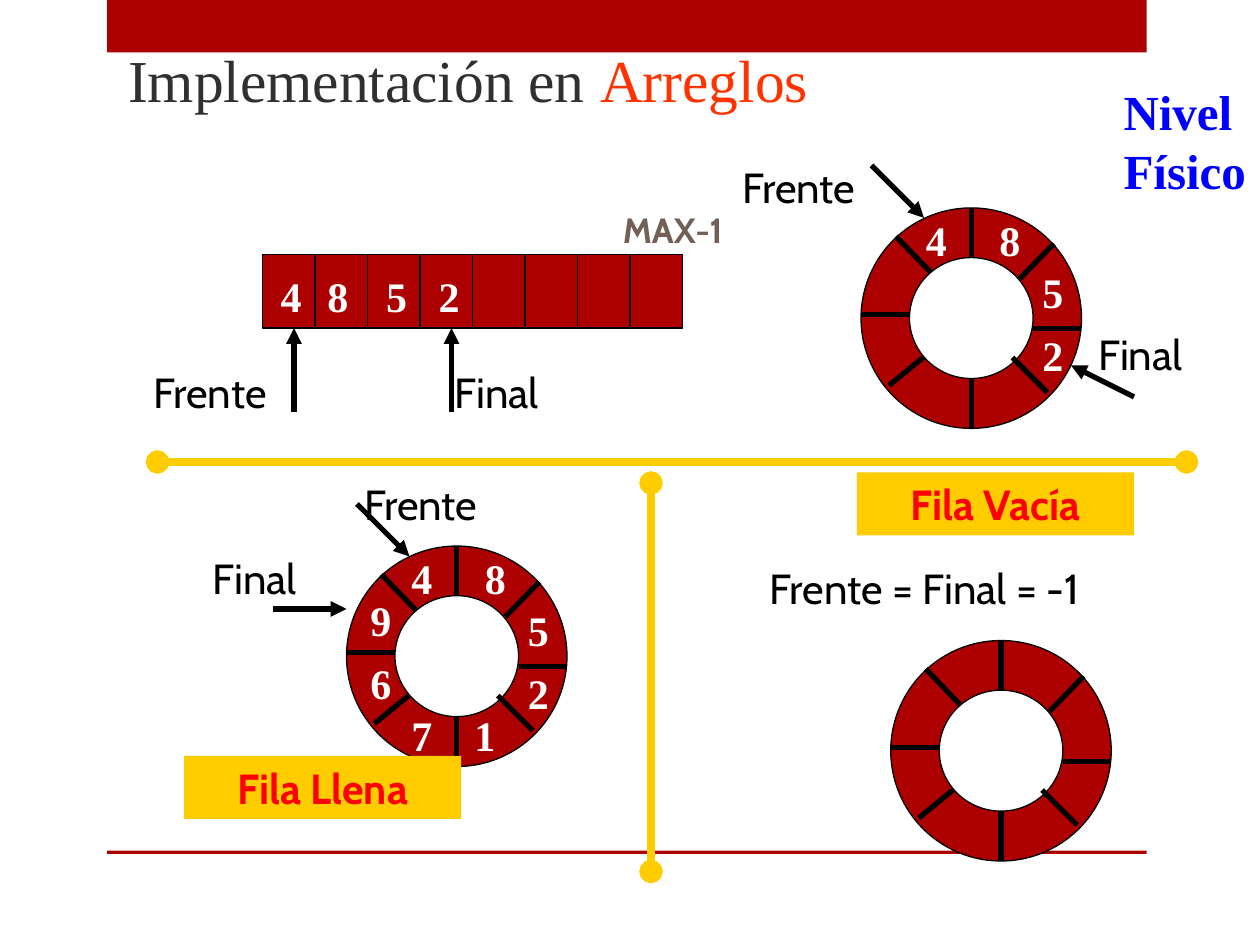
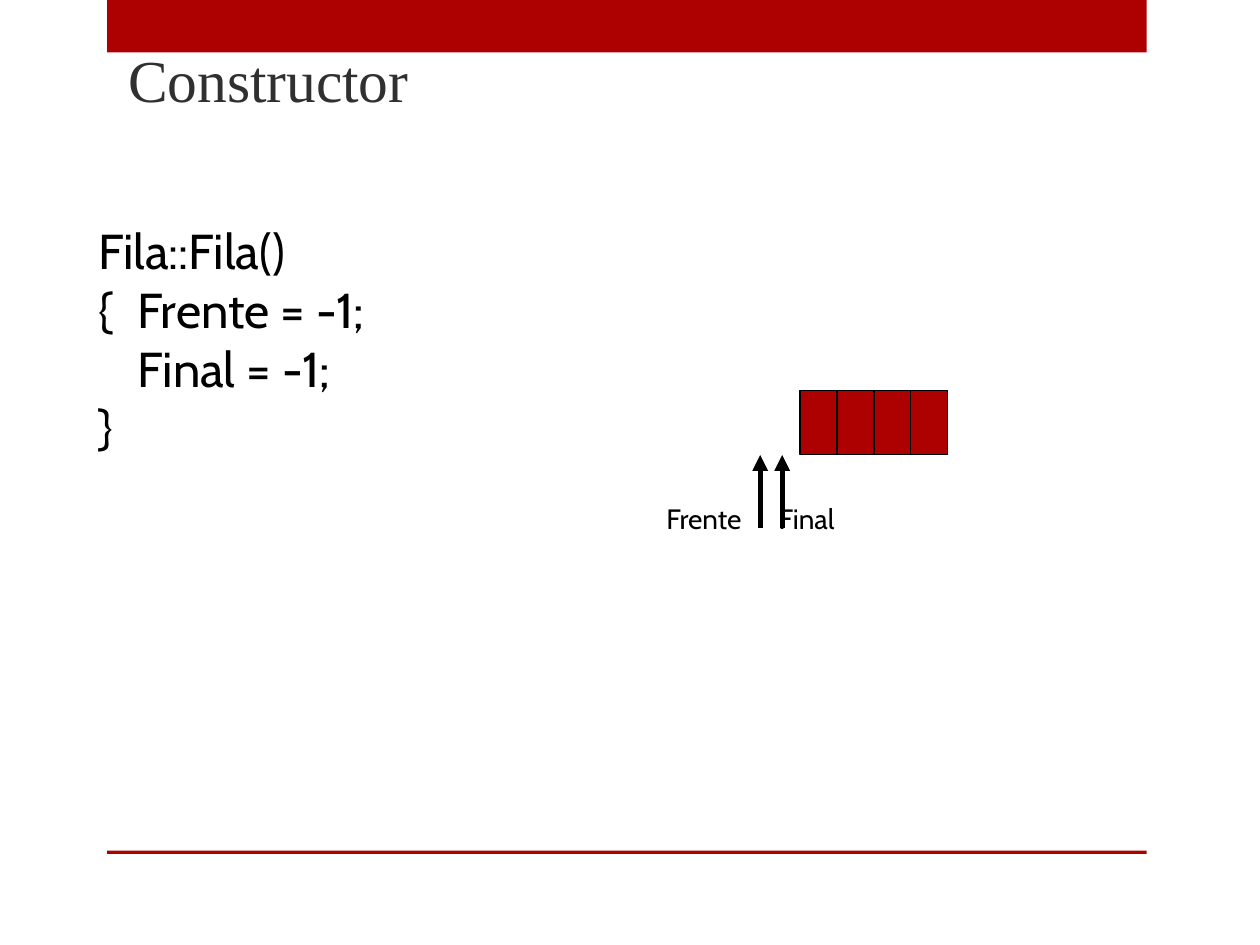
from dataclasses import dataclass

from lxml import etree
from pptx import Presentation
from pptx.dml.color import RGBColor
from pptx.enum.shapes import MSO_CONNECTOR, MSO_SHAPE
from pptx.enum.text import MSO_ANCHOR, MSO_AUTO_SIZE, PP_ALIGN
from pptx.oxml.ns import qn
from pptx.shapes.autoshape import Shape
from pptx.slide import Slide
from pptx.util import Pt

RECTANGLE, OVAL = MSO_SHAPE.RECTANGLE, MSO_SHAPE.OVAL
STRAIGHT = MSO_CONNECTOR.STRAIGHT
TOP, MIDDLE = MSO_ANCHOR.TOP, MSO_ANCHOR.MIDDLE
LEFT, CENTER = PP_ALIGN.LEFT, PP_ALIGN.CENTER
NO_FIT, GROW = MSO_AUTO_SIZE.NONE, MSO_AUTO_SIZE.SHAPE_TO_FIT_TEXT

DARK_RED = RGBColor(0xAD, 0x01, 0x01)
RED = RGBColor(0xFF, 0x00, 0x00)
ORANGE = RGBColor(0xFF, 0x33, 0x00)
GOLD = RGBColor(0xFF, 0xCC, 0x00)
BLUE = RGBColor(0x00, 0x00, 0xFF)
BROWN = RGBColor(0x72, 0x60, 0x56)
CHARCOAL = RGBColor(0x30, 0x30, 0x30)
BLACK = RGBColor(0x00, 0x00, 0x00)
WHITE = RGBColor(0xFF, 0xFF, 0xFF)

SERIF, SANS = "Times New Roman", "Cabin"


@dataclass(frozen=True)
class Box:
    x: float
    y: float
    width: float
    height: float

    def shifted(self, dx: float, dy: float) -> "Box":
        return Box(self.x + dx, self.y + dy, self.width, self.height)

    def lengths(self) -> tuple[Pt, Pt, Pt, Pt]:
        return Pt(self.x), Pt(self.y), Pt(self.width), Pt(self.height)


@dataclass(frozen=True)
class Segment:
    x1: float
    y1: float
    x2: float
    y2: float

    def shifted(self, dx: float, dy: float) -> "Segment":
        return Segment(self.x1 + dx, self.y1 + dy, self.x2 + dx, self.y2 + dy)


@dataclass(frozen=True)
class Style:
    size: float
    color: RGBColor = BLACK
    font: str = SANS
    bold: bool = False
    align: PP_ALIGN = LEFT
    anchor: MSO_ANCHOR = TOP


@dataclass(frozen=True)
class Label:
    text: str
    box: Box
    style: Style


@dataclass(frozen=True)
class Ring:
    x: float
    y: float
    values: str = ""


TITLE = Style(34, CHARCOAL, SERIF, anchor=MIDDLE)
LEVEL = Style(28, BLUE, SERIF, bold=True)
DIGIT = Style(24, WHITE, SERIF, True, CENTER, MIDDLE)
POINTER = Style(24)
SMALL_POINTER = Style(16)
LIMIT = Style(20, BROWN, SANS, True, CENTER, MIDDLE)
STATE = Style(24, RED, SANS, True, CENTER, MIDDLE)
CODE = Style(28)

TITLE_BOX = Box(66, 0, 612, 90)
BANDS = (Box(61.2, 0, 594, 30), Box(61.2, 486, 594, 2))

RING_OUTER = Box(0, 0, 126, 126)
RING_HOLE = Box(27.7, 28.4, 70.6, 69.1)
RING_SPOKES = (
    Segment(63, 0, 63, 28.5),
    Segment(63, 97.5, 63, 126),
    Segment(110.2, 20.5, 90.7, 40.5),
    Segment(126, 69, 98.5, 69),
    Segment(35.5, 85.5, 16, 101.5),
    Segment(27.5, 61, 0, 61),
    Segment(20, 16.3, 39.5, 36.5),
    Segment(86.5, 85.5, 106.5, 105.5),
)
DIGIT_BOX = Box(0, 0, 26, 36)
RING_SLOTS = ((30, 0), (72, 0), (96.5, 30), (96.5, 66),
              (66, 90), (30, 90), (6.5, 60), (6.5, 24))

PARTIAL_RING = Ring(492, 118.8, "4852")
FULL_RING = Ring(198, 312, "48521769")
EMPTY_RING = Ring(509, 366)

ARRAY_DIGIT_LEFTS = (153.3, 180, 213.6, 243.5)
CODE_TAB = 22.5
CODE_LINES = ("Fila::Fila()", "{\tFrente = -1;", " \tFinal = -1;", "}")


def format_text(shape: Shape, style: Style, wrap: bool = False,
                fit: MSO_AUTO_SIZE = GROW) -> None:
    frame = shape.text_frame
    frame.word_wrap = wrap
    frame.auto_size = fit
    frame.vertical_anchor = style.anchor
    for paragraph in frame.paragraphs:
        paragraph.alignment = style.align
        for run in paragraph.runs:
            run.font.name = style.font
            run.font.size = Pt(style.size)
            run.font.bold = style.bold
            run.font.color.rgb = style.color


def add_label(slide: Slide, label: Label) -> Shape:
    text_box = slide.shapes.add_textbox(*label.box.lengths())
    text_box.text_frame.text = label.text
    format_text(text_box, label.style)
    return text_box


def add_filled(shapes, kind: MSO_SHAPE, box: Box, fill: RGBColor,
               outlined: bool = True) -> Shape:
    shape = shapes.add_shape(kind, *box.lengths())
    shape.shadow.inherit = False
    shape.fill.solid()
    shape.fill.fore_color.rgb = fill
    if outlined:
        shape.line.color.rgb = BLACK
        shape.line.width = Pt(0.75)
    else:
        shape.line.fill.background()
    return shape


def add_line(shapes, segment: Segment, color: RGBColor = BLACK,
             width: float = 3, head: str = "", tail: str = "") -> None:
    connector = shapes.add_connector(
        STRAIGHT, Pt(segment.x1), Pt(segment.y1), Pt(segment.x2), Pt(segment.y2))
    connector.line.color.rgb = color
    connector.line.width = Pt(width)
    properties = connector.element.spPr
    outline = properties.find(qn("a:ln"))
    for tag, end in (("a:headEnd", head), ("a:tailEnd", tail)):
        if end:
            etree.SubElement(outline, qn(tag), type=end)
    etree.SubElement(properties, qn("a:effectLst"))


def add_arrows(slide: Slide, *arrows: Segment) -> None:
    for arrow in arrows:
        add_line(slide.shapes, arrow, tail="triangle")


def add_cells(slide: Slide, first: Box, count: int) -> None:
    for index in range(count):
        add_filled(slide.shapes, RECTANGLE,
                   first.shifted(index * first.width, 0), DARK_RED)


def add_digit(slide: Slide, digit: str, x: float, y: float) -> None:
    add_label(slide, Label(digit, DIGIT_BOX.shifted(x, y), DIGIT))


def add_ring(slide: Slide, ring: Ring) -> None:
    shapes = slide.shapes.add_group_shape().shapes
    add_filled(shapes, OVAL, RING_OUTER.shifted(ring.x, ring.y), DARK_RED)
    add_filled(shapes, OVAL, RING_HOLE.shifted(ring.x, ring.y), WHITE)
    for spoke in RING_SPOKES:
        add_line(shapes, spoke.shifted(ring.x, ring.y))
    for digit, (dx, dy) in zip(ring.values, RING_SLOTS):
        add_digit(slide, digit, ring.x + dx, ring.y + dy)


def add_state(slide: Slide, text: str, x: float, y: float) -> None:
    state = add_filled(slide.shapes, RECTANGLE, Box(x, y, 158.4, 36), GOLD, False)
    state.text_frame.text = text
    format_text(state, STATE)


def set_title(slide: Slide, text: str, accent: str = "") -> None:
    title = slide.shapes.title
    title.left, title.top, title.width, title.height = TITLE_BOX.lengths()
    title.text_frame.text = text
    if accent:
        title.text_frame.paragraphs[0].add_run().text = accent
    format_text(title, TITLE, wrap=True, fit=NO_FIT)
    if accent:
        title.text_frame.paragraphs[0].runs[-1].font.color.rgb = ORANGE


def move_bands_to_layout(slide: Slide) -> None:
    layout_tree = slide.slide_layout.shapes.element
    for position, box in enumerate(BANDS, start=2):
        band = add_filled(slide.shapes, RECTANGLE, box, DARK_RED, False)
        layout_tree.insert(position, band.element)


def build_array_slide(slide: Slide) -> None:
    set_title(slide, "Implementación en ", "Arreglos")
    add_label(slide, Label("Nivel\nFísico", Box(635, 43.2, 84.2, 75), LEVEL))

    add_ring(slide, PARTIAL_RING)
    add_cells(slide, Box(150, 145.5, 30, 42), 8)
    for digit, x in zip("4852", ARRAY_DIGIT_LEFTS):
        add_digit(slide, digit, x, 151.2)
    add_ring(slide, FULL_RING)
    add_state(slide, "Fila Llena", 105.2, 432)
    add_ring(slide, EMPTY_RING)
    add_state(slide, "Fila Vacía", 489.6, 270)

    for x, y in ((417, 88.6), (80.6, 206), (201, 270)):
        add_label(slide, Label("Frente", Box(x, y, 100.8, 36), POINTER))
    for x, y in ((620.6, 184.3), (252.7, 206), (114.5, 312)):
        add_label(slide, Label("Final", Box(x, y, 86.4, 36), POINTER))
    add_label(slide, Label("Frente = Final = -1", Box(432.7, 318.2, 288.7, 36), POINTER))
    add_label(slide, Label("MAX-1", Box(347, 115.2, 74.9, 31.7), LIMIT))

    add_arrows(
        slide,
        Segment(498, 94.5, 528, 124.5),
        Segment(648, 226.8, 612, 208.8),
        Segment(168, 235.5, 168, 187.5),
        Segment(258, 235.5, 258, 187.5),
        Segment(204, 288, 234, 318),
        Segment(156, 348, 198, 348),
    )
    for divider in (Segment(90, 264, 678, 264), Segment(372, 276, 372, 498)):
        add_line(slide.shapes, divider, GOLD, 4.5, "oval", "oval")


def build_constructor_slide(slide: Slide) -> None:
    set_title(slide, "Constructor")
    code = add_label(slide, Label("\n".join(CODE_LINES), Box(49, 122.4, 255.6, 141.8), CODE))
    for paragraph in code.text_frame.paragraphs:
        tabs = etree.SubElement(paragraph._p.get_or_add_pPr(), qn("a:tabLst"))
        etree.SubElement(tabs, qn("a:tab"), pos=str(Pt(CODE_TAB)), algn="l")

    add_cells(slide, Box(457.2, 223.2, 21.1, 36.7), 4)
    add_arrows(slide, *(Segment(x, 301.7, x, 260) for x in (434.4, 447)))
    add_label(slide, Label("Final", Box(437.8, 283, 62, 26.6), SMALL_POINTER))
    add_label(slide, Label("Frente", Box(373.7, 283, 72, 26.6), SMALL_POINTER))


def main() -> None:
    presentation = Presentation()
    presentation.slide_width = Pt(720)
    presentation.slide_height = Pt(540)
    title_only = presentation.slide_layouts[5]
    array_slide = presentation.slides.add_slide(title_only)
    move_bands_to_layout(array_slide)
    build_array_slide(array_slide)
    build_constructor_slide(presentation.slides.add_slide(title_only))
    presentation.save("out.pptx")


if __name__ == "__main__":
    main()
